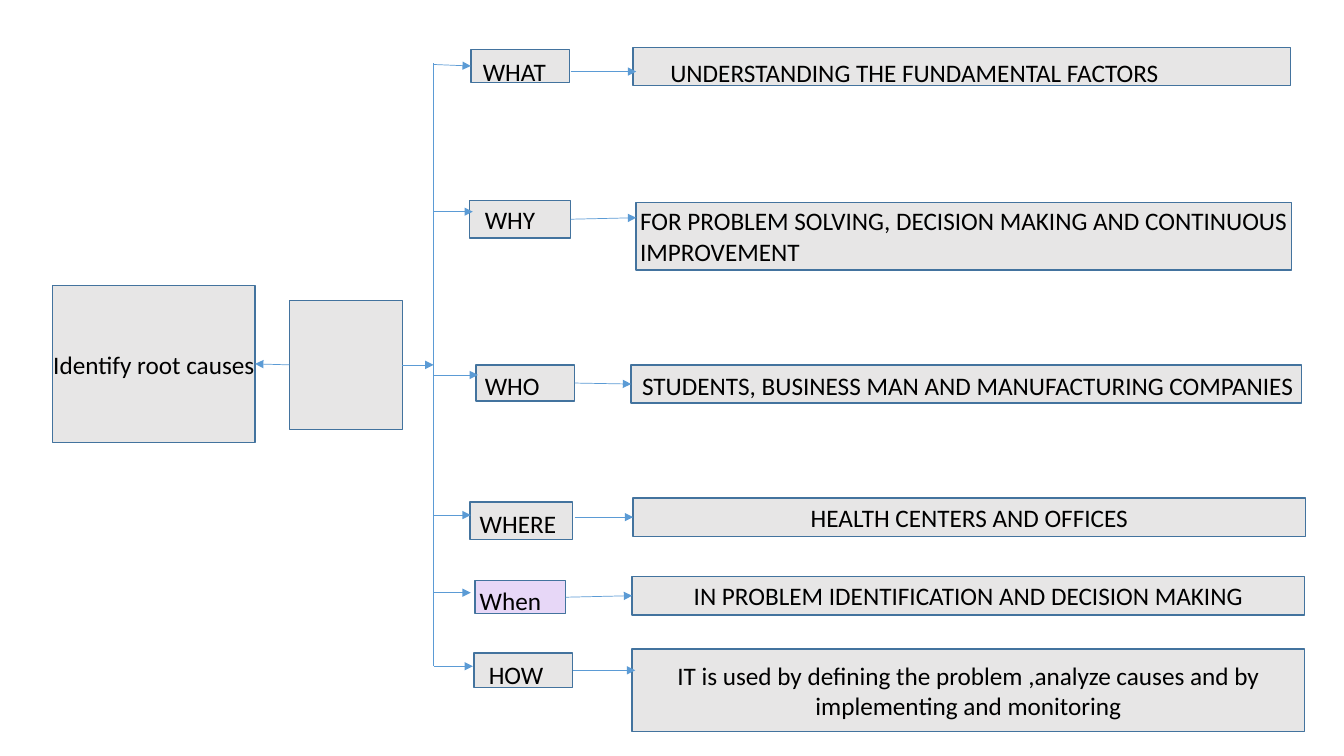
import collections

import pptx
import pptx.dml.color
import pptx.enum.shapes
import pptx.enum.text
import pptx.oxml.ns
import pptx.util
from lxml import etree

EMU_PER_PX = 9144  # 100 px to the inch
TRUNK_X = 430
JOIN_DISTANCE = 3
LEFT_SIDE, RIGHT_SIDE = 1, 3
GREY, LILAC = "E7E6E6", "E7D7F7"


def px(length):
    return pptx.util.Emu(length * EMU_PER_PX)


def color(hex_string):
    return pptx.dml.color.RGBColor.from_string(hex_string)


class Diagram:
    """Holds the style and the current slide."""
    font, size, ink = "Calibri", 18, "000000"
    outline, arrow_color = "43739E", "5B9BD5"

    def __init__(self, slide):
        self.slide = slide

    def add_text(self, frame, text):
        frame.word_wrap = True
        paragraph = frame.paragraphs[0]
        run = paragraph.add_run()
        run.text = text
        run.font.name = self.font
        run.font.size = pptx.util.Pt(self.size)
        run.font.color.rgb = color(self.ink)
        return paragraph

    def box(self, bounds, fill=GREY, text=None):
        shape = self.slide.shapes.add_shape(
            pptx.enum.shapes.MSO_SHAPE.RECTANGLE, *map(px, bounds))
        shape.shadow.inherit = False
        shape.fill.solid()
        shape.fill.fore_color.rgb = color(fill)
        shape.line.color.rgb = color(self.outline)
        shape.line.width = pptx.util.Pt(1)
        if text:
            shape.text_frame.vertical_anchor = pptx.enum.text.MSO_ANCHOR.MIDDLE
            paragraph = self.add_text(shape.text_frame, text)
            paragraph.alignment = pptx.enum.text.PP_ALIGN.CENTER
        return shape

    def label(self, bounds, text):
        shape = self.slide.shapes.add_textbox(*map(px, bounds))
        self.add_text(shape.text_frame, text)
        shape.text_frame.auto_size = pptx.enum.text.MSO_AUTO_SIZE.SHAPE_TO_FIT_TEXT

    def line(self, start, end, source=None, target=None, arrow=True):
        connector = self.slide.shapes.add_connector(
            pptx.enum.shapes.MSO_CONNECTOR.STRAIGHT, *map(px, start + end))
        connector.line.color.rgb = color(self.arrow_color)
        connector.line.width = pptx.util.Pt(0.5)
        properties = connector.element.spPr
        if arrow:
            etree.SubElement(properties.find(pptx.oxml.ns.qn("a:ln")),
                             pptx.oxml.ns.qn("a:tailEnd"), type="triangle")
        etree.SubElement(properties, pptx.oxml.ns.qn("a:effectLst"))
        self.join(connector.begin_connect, start, source)
        self.join(connector.end_connect, end, target)

    def join(self, connect, point, shape):
        """Attach a line end that meets the middle of a left or right side."""
        if shape is None:
            return
        middle = shape.top + shape.height / 2
        sides = ((LEFT_SIDE, shape.left), (RIGHT_SIDE, shape.left + shape.width))
        for site, edge in sides:
            gap = max(abs(px(point[0]) - edge), abs(px(point[1]) - middle))
            if gap <= px(JOIN_DISTANCE):
                connect(shape, site)


# Each row: question box and label, answer box and label, and its two arrows.
# An answer without label bounds is centred inside its own box.
Row = collections.namedtuple(
    "Row", "question box label fill branch_end branch_y "
           "answer answer_box answer_label link_start link_end link_y")

ROWS = [
    Row("WHAT", (467, 49, 98, 33), (469, 51, 98, 40), GREY, 470, 64,
        "UNDERSTANDING THE FUNDAMENTAL FACTORS",
        (628, 47, 652, 38), (655, 52, 589, 40), 566, 631, 71),
    Row("WHY", (466, 199, 100, 37), (471, 198, 137, 40), GREY, 469, 210,
        "FOR PROBLEM SOLVING, DECISION MAKING AND CONTINUOUS IMPROVEMENT",
        (631, 201, 650, 67), (625, 199, 694, 71), 566, 631, 216),
    Row("WHO", (472, 362, 98, 36), (471, 362, 210, 40), GREY, 474, 372,
        "STUDENTS, BUSINESS MAN AND MANUFACTURING COMPANIES",
        (626, 362, 665, 38), (627, 362, 706, 40), 567, 628, 383),
    Row("WHERE", (466, 498, 102, 37), (466, 499, 106, 40), GREY, 467, 511,
        "HEALTH CENTERS AND OFFICES",
        (628, 494, 667, 38), None, 570, 628, 513),
    Row("When", (471, 576, 90, 33), (466, 576, 106, 40), LILAC, 467, 588,
        "IN PROBLEM IDENTIFICATION AND DECISION MAKING",
        (627, 572, 667, 38), None, 560, 628, 590),
    Row("HOW", (470, 648, 98, 34), (475, 649, 224, 40), GREY, 469, 661,
        "IT is used by defining the problem ,analyze causes and by "
        "implementing and monitoring",
        (627, 644, 667, 82), None, 567, 630, 665),
]


def main():
    presentation = pptx.Presentation()
    presentation.slide_width = px(1333)
    presentation.slide_height = px(750)
    blank_layout = presentation.slide_layouts[6]
    diagram = Diagram(presentation.slides.add_slide(blank_layout))

    # Root cause box, hub and trunk
    root = diagram.box((52, 283, 201, 156))
    hub = diagram.box((287, 298, 112, 128))
    diagram.label((43, 342, 244, 40), "Identify root causes")
    diagram.line((287, 362), (254, 363), hub, root)
    diagram.line((399, 362), (TRUNK_X, 362), hub)
    diagram.line((TRUNK_X, 63), (TRUNK_X, 661), arrow=False)

    # Questions and answers
    for row in ROWS:
        question = diagram.box(row.box, row.fill)
        diagram.label(row.label, row.question)
        if row.answer_label:
            answer = diagram.box(row.answer_box)
            diagram.label(row.answer_label, row.answer)
        else:
            answer = diagram.box(row.answer_box, text=row.answer)
        diagram.line((TRUNK_X, row.branch_y), (row.branch_end, row.branch_y),
                     target=question)
        diagram.line((row.link_start, row.link_y), (row.link_end, row.link_y),
                     question, answer)

    presentation.save("out.pptx")


if __name__ == "__main__":
    main()
